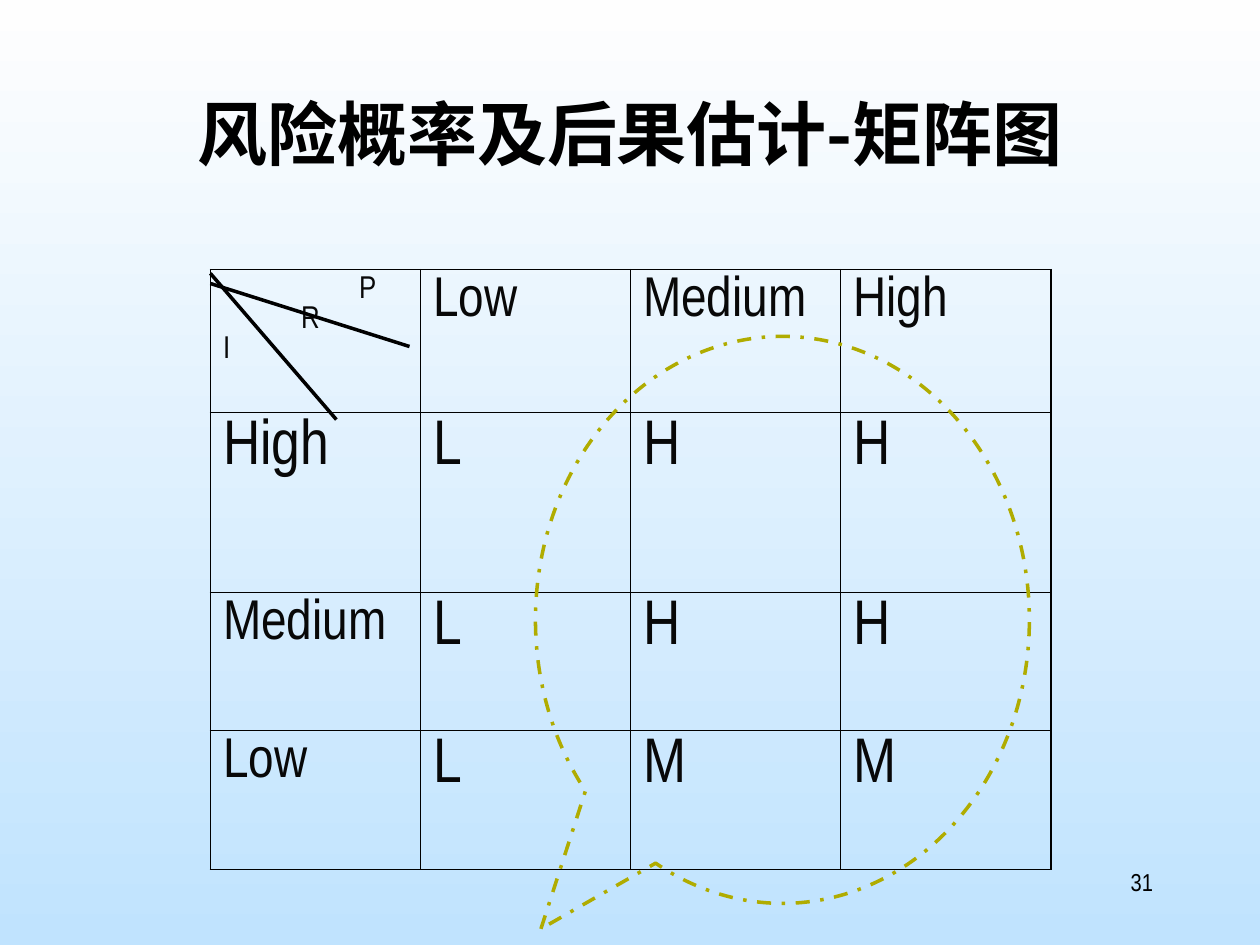
from lxml import etree
from pptx import Presentation
from pptx.dml.color import RGBColor
from pptx.enum.dml import MSO_LINE
from pptx.enum.shapes import MSO_CONNECTOR, MSO_SHAPE
from pptx.enum.text import PP_ALIGN
from pptx.oxml.ns import qn
from pptx.util import Inches, Pt

BLACK = RGBColor(0x00, 0x00, 0x00)
CELL_TEXT = RGBColor(0x08, 0x08, 0x08)
OLIVE = RGBColor(0xB0, 0xAC, 0x00)
SKY_TOP = RGBColor(0xFE, 0xFE, 0xFE)
SKY_BOTTOM = RGBColor(0xC0, 0xE3, 0xFE)
LATIN_FONT = "Arial Narrow"
TITLE_FONT = "Noto Sans CJK SC"
CENTER, RIGHT = PP_ALIGN.CENTER, PP_ALIGN.RIGHT
STRAIGHT = MSO_CONNECTOR.STRAIGHT
CALLOUT = MSO_SHAPE.OVAL_CALLOUT
DASH_DOT = MSO_LINE.DASH_DOT

OUTER_WIDTH, INNER_WIDTH = Pt(1.08), Pt(0.45)
ROW_HEIGHTS = [1.13, 1.43, 1.1, 1.1]
MATRIX = [
    ["", "Low", "Medium", "High"],
    ["High", "L", "H", "H"],
    ["Medium", "L", "H", "H"],
    ["Low", "L", "M", "M"],
]
# Axis letters of the corner cell with their indents in inches
CORNER_LABELS = [("P", 1.08), ("R", 0.62), ("I", 0)]


def format_paragraph(paragraph, size, color, font_name=LATIN_FONT, bold=False):
    for run in paragraph.runs:
        run.font.size = Pt(size)
        run.font.bold = bold
        run.font.color.rgb = color
        run.font.name = font_name
        east_asian = etree.SubElement(run.font._element, qn("a:ea"))
        east_asian.set("typeface", font_name)


def add_text(slide, box, text, size, alignment, font_name=LATIN_FONT, bold=False):
    shape = slide.shapes.add_textbox(*map(Inches, box))
    shape.text_frame.word_wrap = True
    shape.text_frame.text = text
    paragraph = shape.text_frame.paragraphs[0]
    paragraph.alignment = alignment
    format_paragraph(paragraph, size, BLACK, font_name, bold)


def set_border(cell, side, width):
    properties = cell._tc.get_or_add_tcPr()
    line = etree.SubElement(properties, qn(f"a:ln{side}"), w=str(int(width)))
    fill = etree.SubElement(line, qn("a:solidFill"))
    etree.SubElement(fill, qn("a:srgbClr"), val=str(BLACK))


def fill_corner(cell):
    cell.text_frame.text = "\n".join(label for label, _ in CORNER_LABELS)
    for paragraph, (_, indent) in zip(cell.text_frame.paragraphs, CORNER_LABELS):
        properties = paragraph._p.get_or_add_pPr()
        properties.set("marL", str(int(Inches(indent))))
        properties.set("indent", "0")
        format_paragraph(paragraph, 18, CELL_TEXT)


def add_matrix(slide):
    last = len(MATRIX) - 1
    frame = slide.shapes.add_table(
        len(MATRIX), len(MATRIX[0]),
        Inches(1.67), Inches(2.14), Inches(6.67), Inches(sum(ROW_HEIGHTS)))
    table = frame.table
    table.first_row = False
    table.horz_banding = False
    for row, height in zip(table.rows, ROW_HEIGHTS):
        row.height = Inches(height)

    for r, values in enumerate(MATRIX):
        for c, value in enumerate(values):
            cell = table.cell(r, c)
            # Thick border only along the outside; lines precede the fill
            edges = {"L": c == 0, "R": c == last, "T": r == 0, "B": r == last}
            for side, is_outer in edges.items():
                set_border(cell, side, OUTER_WIDTH if is_outer else INNER_WIDTH)
            cell.fill.background()
            if r == c == 0:
                fill_corner(cell)
                continue
            cell.text_frame.text = value
            is_small = r == 0 or (c == 0 and r > 1)
            format_paragraph(cell.text_frame.paragraphs[0],
                             32 if is_small else 36, CELL_TEXT)


def add_line(slide, start, end):
    line = slide.shapes.add_connector(STRAIGHT, *map(Inches, start + end))
    line.line.color.rgb = BLACK
    line.line.width = Pt(2)
    etree.SubElement(line._element.spPr, qn("a:effectLst"))


def add_callout(slide):
    callout = slide.shapes.add_shape(
        CALLOUT, Inches(4.25), Inches(2.67), Inches(3.92), Inches(4.5))
    callout.adjustments[0] = -0.489
    callout.adjustments[1] = 0.545
    callout.shadow.inherit = False
    callout.fill.background()
    callout.line.color.rgb = OLIVE
    callout.line.width = Pt(2)
    callout.line.dash_style = DASH_DOT


def set_background(slide):
    fill = slide.background.fill
    fill.gradient()
    fill.gradient_angle = 270
    for stop, color, position in zip(fill.gradient_stops, (SKY_TOP, SKY_BOTTOM), (0, 1)):
        stop.color.rgb = color
        stop.position = position


def main():
    presentation = Presentation()
    presentation.slide_width = Inches(10)
    presentation.slide_height = Inches(7.5)
    slide = presentation.slides.add_slide(presentation.slide_layouts[6])
    set_background(slide)

    # Title
    add_text(slide, (0.75, 0.67, 8.5, 1.25), "风险概率及后果估计-矩阵图", 40,
             CENTER, TITLE_FONT, bold=True)

    # Risk matrix with the split corner cell
    add_matrix(slide)
    add_line(slide, (1.67, 2.17), (2.67, 3.33))
    add_line(slide, (1.67, 2.25), (3.25, 2.75))

    # Highlight of the critical risks
    add_callout(slide)

    # Page number
    add_text(slide, (7.17, 6.83, 2.08, 0.5), "31", 14, RIGHT)

    presentation.save("out.pptx")


if __name__ == "__main__":
    main()
